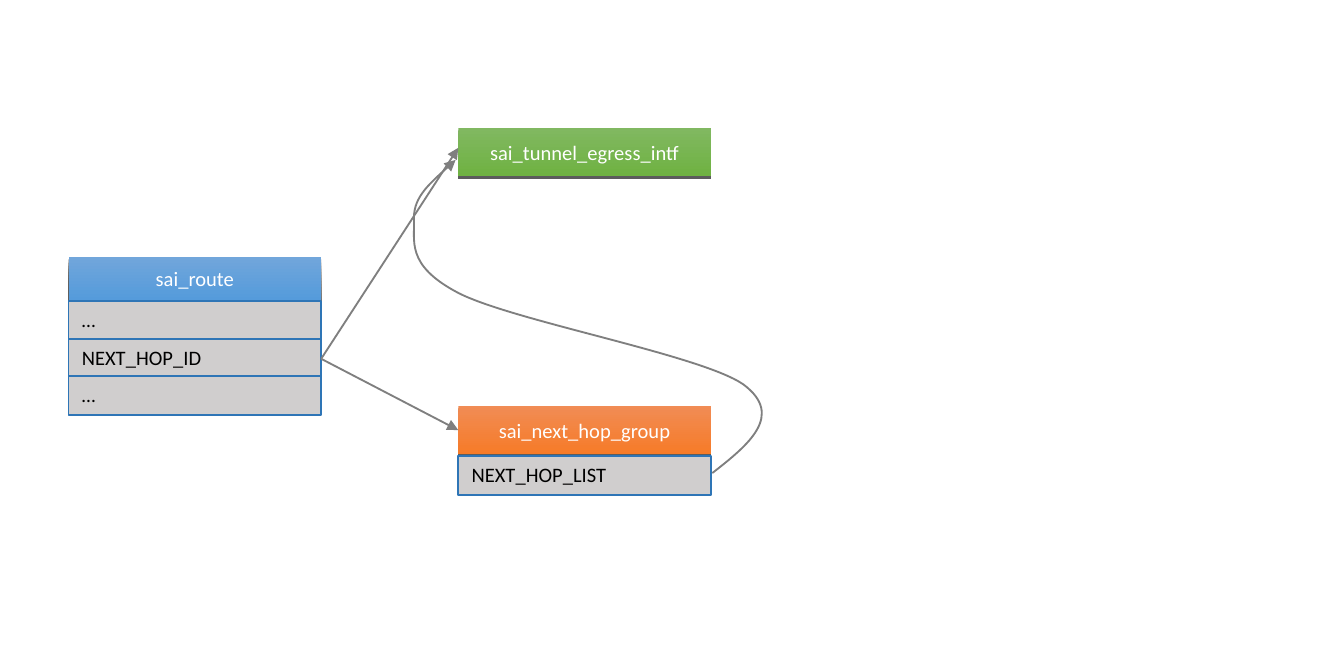
"""Draw how a route resolves to a tunnel through a next hop group."""
from dataclasses import dataclass

from lxml.etree import SubElement as Sub
from pptx import Presentation
from pptx.dml.color import RGBColor as Rgb
from pptx.enum.shapes import MSO_CONNECTOR as Link, MSO_SHAPE as Kind
from pptx.enum.text import MSO_ANCHOR as Anchor, MSO_AUTO_SIZE as Fit, PP_ALIGN as Align
from pptx.oxml.ns import qn
from pptx.util import Pt

PX = 9144


@dataclass(frozen=True)
class Theme:
    """Hold the colours and type sizes of the slide."""
    font: str = "Calibri"
    size: float = 11
    small: float = 10.5
    white: str = "FFFFFF"
    black: str = "000000"
    row: str = "D0CECE"
    edge: str = "2E75B6"
    wire: str = "7F7F7F"
    blue: tuple = ("71A6DB", "559BDB")
    orange: tuple = ("F18C55", "F67B28")
    green: tuple = ("81B861", "6FB242")


THEME = Theme()
WIDE, ROW, STEP = 188, 29, 28


def rgb(code):
    """Turn a hex code into a colour."""
    return Rgb.from_string(code)


def rect(slide, x, y, high):
    """Add a plain rectangle of the common width."""
    box = slide.shapes.add_shape(Kind.RECTANGLE, x * PX, y * PX, WIDE * PX, high * PX)
    box.shadow.inherit = False
    return box


def write(box, text, size, color, align, anchor):
    """Set one line of text in a box."""
    frame = box.text_frame
    frame.word_wrap = True
    frame.vertical_anchor = anchor
    para = frame.paragraphs[0]
    para.alignment = align
    run = para.add_run()
    run.text = text
    run.font.name = THEME.font
    run.font.size = Pt(size)
    run.font.color.rgb = rgb(color)


def head(slide, x, y, high, name, tones):
    """Add a shaded header with a hard shadow below it."""
    box = rect(slide, x, y, high)
    box.fill.gradient()
    box.fill.gradient_angle = 270
    for stop, tone in zip(box.fill.gradient_stops, tones):
        stop.color.rgb = rgb(tone)
    box.line.fill.background()
    glow = box._element.spPr.find(qn("a:effectLst"))
    cast = Sub(glow, qn("a:outerShdw"), blurRad="0", dist="19050",
               dir="5400000", algn="ctr", rotWithShape="0")
    tint = Sub(cast, qn("a:srgbClr"), val=THEME.black)
    Sub(tint, qn("a:alpha"), val="63000")
    write(box, name, THEME.size, THEME.white, Align.CENTER, Anchor.MIDDLE)


def field(slide, x, y, text):
    """Add one field row."""
    box = rect(slide, x, y, ROW)
    box.fill.solid()
    box.fill.fore_color.rgb = rgb(THEME.row)
    box.line.color.rgb = rgb(THEME.edge)
    box.line.width = Pt(1)
    size = THEME.small if text == "…" else THEME.size
    write(box, text, size, THEME.black, Align.LEFT, Anchor.TOP)
    box.text_frame.auto_size = Fit.SHAPE_TO_FIT_TEXT


def card(slide, x, y, high, name, tones, rows=()):
    """Add a header and the field rows under it."""
    head(slide, x, y, high, name, tones)
    for i, text in enumerate(rows):
        field(slide, x, y + high + 1 + i * STEP, text)


def arrow(wire):
    """Give a wire its colour, width and arrowhead."""
    wire.line.color.rgb = rgb(THEME.wire)
    wire.line.width = Pt(1)
    props = wire._element.spPr
    Sub(props.find(qn("a:ln")), qn("a:tailEnd"), type="triangle")
    Sub(props, qn("a:effectLst"))


def link(slide, start, end):
    """Join two points with a straight arrow."""
    ends = [n * PX for n in (*start, *end)]
    arrow(slide.shapes.add_connector(Link.STRAIGHT, *ends))


def curve(slide, x, y, wide, high, start, bends):
    """Draw a curved arrow in a box, from a start through triples of points."""
    form = slide.shapes.build_freeform(x, y, scale=PX)
    form.add_line_segments([(x + wide, y + high)], close=False)
    wire = form.convert_to_shape()
    wire.fill.background()
    track = wire._element.spPr.find(".//" + qn("a:path"))
    for old in list(track):
        track.remove(old)
    steps = [("a:moveTo", [start])] + [("a:cubicBezTo", bend) for bend in bends]
    for tag, points in steps:
        step = Sub(track, qn(tag))
        for left, top in points:
            Sub(step, qn("a:pt"), x=str((left - x) * track_unit(track, wide)),
                y=str((top - y) * track_unit(track, wide)))
    arrow(wire)


def track_unit(track, wide):
    """Find how many path units make one px."""
    return int(track.get("w")) // wide


def diagram(slide, x, y):
    """Place the three cards and the arrows between them."""
    right = x + 290
    card(slide, x, y + 96, 32, "sai_route", THEME.blue, ("…", "NEXT_HOP_ID", "…"))
    card(slide, right, y + 207, 36, "sai_next_hop_group", THEME.orange, ("NEXT_HOP_LIST",))
    card(slide, right, y, 36, "sai_tunnel_egress_intf", THEME.green)
    for top in (15, 225):
        link(slide, (x + WIDE, y + 172), (right, y + top))
    bends = (
        ((506, 236), (533, 214), (502, 191)),
        ((470, 169), (331, 144), (290, 123)),
        ((250, 102), (258, 84), (257, 67)),
        ((257, 51), (273, 38), (288, 24)),
    )
    bends = [[(x + a, y + b) for a, b in bend] for bend in bends]
    curve(slide, x + 257, y + 24, 259, 233, (x + 479, y + 257), bends)


def main():
    """Build and save the slide."""
    deck = Presentation()
    deck.slide_width, deck.slide_height = 1000 * PX, 500 * PX
    slide = deck.slides.add_slide(deck.slide_layouts[6])
    diagram(slide, 51, 95)
    deck.save("out.pptx")


if __name__ == "__main__":
    main()
